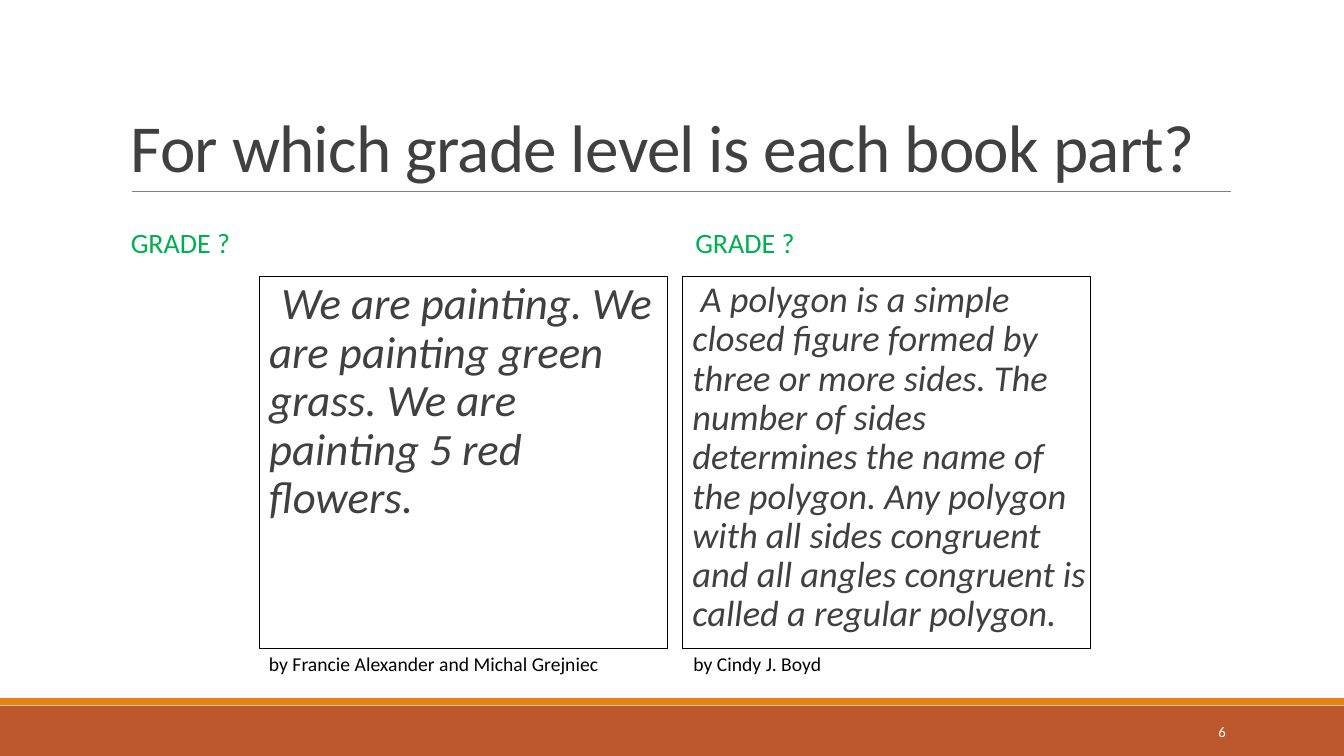
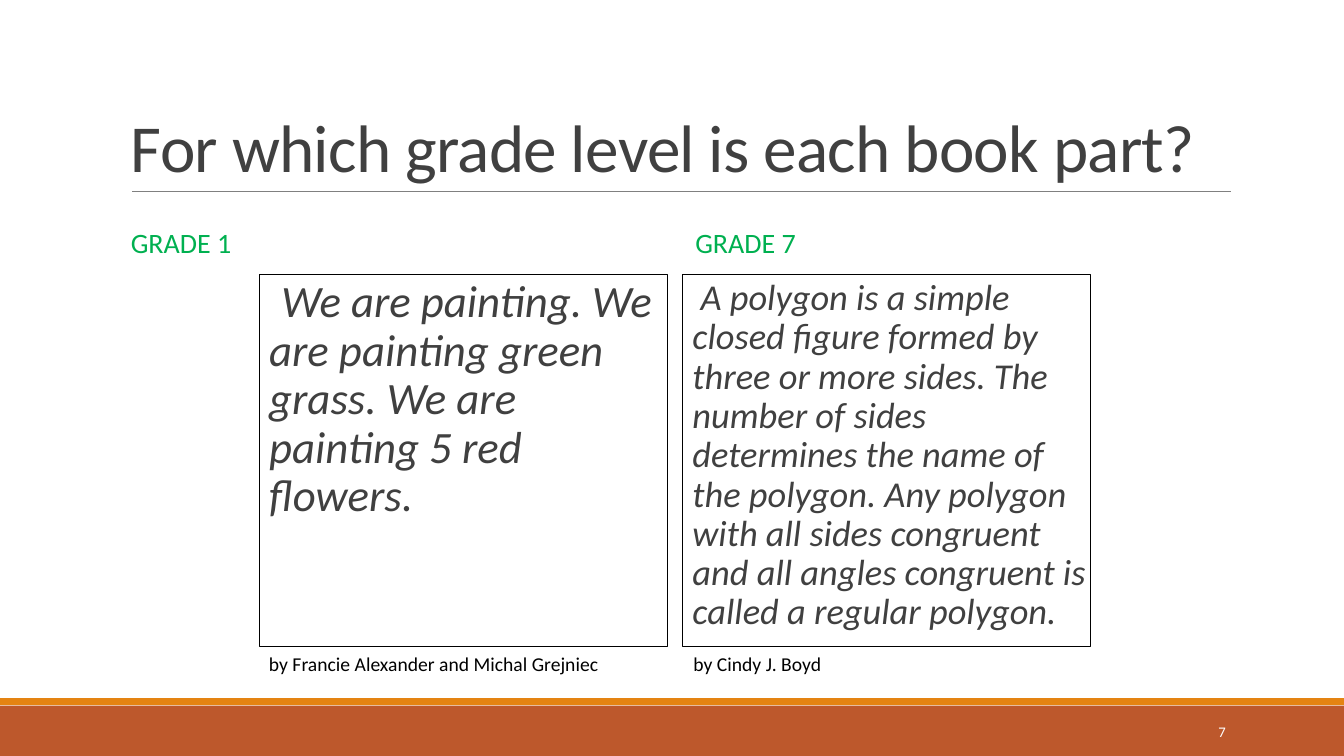
from lxml import etree
from pptx import Presentation
from pptx.dml.color import RGBColor
from pptx.enum.shapes import MSO_CONNECTOR, MSO_SHAPE
from pptx.enum.text import MSO_ANCHOR, PP_ALIGN
from pptx.oxml.ns import qn
from pptx.util import Pt

RECTANGLE = MSO_SHAPE.RECTANGLE
STRAIGHT = MSO_CONNECTOR.STRAIGHT
TOP, MIDDLE, BOTTOM = MSO_ANCHOR.TOP, MSO_ANCHOR.MIDDLE, MSO_ANCHOR.BOTTOM
LEFT, RIGHT = PP_ALIGN.LEFT, PP_ALIGN.RIGHT

FONT = "Calibri"
COLORS = {
    "band": "BD582C",
    "accent": "E48312",
    "rule": "808080",
    "text": "404040",
    "grade": "00B050",
    "black": "000000",
    "white": "FFFFFF",
}
TITLE = "For which grade level is each book part?"
EXCERPTS = [
    {
        "text": "We are painting. We are painting green grass. We are painting 5 red flowers.",
        "size": 32,
        "author": "by Francie Alexander and Michal Grejniec",
        "heading_left": 86.4,
        "box_left": 185.04,
        "author_left": 185.04,
    },
    {
        "text": "A polygon is a simple closed figure formed by three or more sides. "
                "The number of sides determines the name of the polygon. Any polygon "
                "with all sides congruent and all angles congruent is called a regular polygon.",
        "size": 26,
        "author": "by Cindy J. Boyd",
        "heading_left": 489.6,
        "box_left": 487.44,
        "author_left": 488.16,
    },
]
SLIDES = [
    {"number": "6", "grades": ["GRADE ?", "GRADE ?"], "box_top": 197.28},
    {"number": "7", "grades": ["GRADE 1", "GRADE 7"], "box_top": 195.84},
]


def color(name):
    return RGBColor.from_string(COLORS[name])


class Deck:
    """Holds the shared style and the slide being built."""

    def __init__(self):
        self.presentation = Presentation()
        self.presentation.slide_width = Pt(960)
        self.presentation.slide_height = Pt(540)
        self.slide = None

    def start_slide(self, title, number):
        self.slide = self.presentation.slides.add_slide(self.presentation.slide_layouts[6])
        self.band(504, 36, "band")
        self.band(498.76, 5.04, "accent")
        self.rule(94.32, 879.12, 136.8)
        self.title(title)
        self.text(779.76, 508.32, 102.96, 28.8, number, 10.5, "white", MIDDLE, RIGHT)

    def band(self, top, height, fill):
        shape = self.slide.shapes.add_shape(
            RECTANGLE, Pt(0), Pt(top), self.presentation.slide_width, Pt(height))
        shape.shadow.inherit = False
        shape.fill.solid()
        shape.fill.fore_color.rgb = color(fill)
        shape.line.fill.background()

    def rule(self, left, right, top):
        connector = self.slide.shapes.add_connector(
            STRAIGHT, Pt(left), Pt(top), Pt(right), Pt(top))
        connector.line.color.rgb = color("rule")
        connector.line.width = Pt(0.5)
        etree.SubElement(connector.element.spPr, qn("a:effectLst"))

    def title(self, text):
        run = self.text(86.4, 22.32, 792, 114.48, text, 48, "text", BOTTOM, spacing=0.85)
        run.font._element.set("spc", "-50")

    def heading(self, left, text):
        self.text(left, 145.44, 388.8, 58.32, text, 20, "grade", MIDDLE, spacing=0.9)

    def excerpt(self, left, top, text, size):
        shape = self.slide.shapes.add_shape(
            RECTANGLE, Pt(left), Pt(top), Pt(291.6), Pt(265.68))
        shape.shadow.inherit = False
        shape.fill.background()
        shape.line.color.rgb = color("black")
        shape.line.width = Pt(0.75)
        shape.text_frame.margin_left = shape.text_frame.margin_right = Pt(0)
        run = self.add_text(shape, text, size, "text", spacing=0.9)
        run.font.italic = True
        self.bullet(shape.text_frame.paragraphs[0])

    def bullet(self, paragraph):
        properties = paragraph._p.get_or_add_pPr()
        properties.set("marL", str(Pt(7.2)))
        properties.set("indent", str(Pt(-7.2)))
        bullet_color = etree.SubElement(properties, qn("a:buClr"))
        etree.SubElement(bullet_color, qn("a:srgbClr"), val=COLORS["accent"])
        etree.SubElement(properties, qn("a:buChar"), char=" ")

    def author(self, left, text):
        self.text(left, 462.24, 288.72, 24.48, text, 14, "black")

    def text(self, left, top, width, height, text, size, ink,
             anchor=TOP, align=LEFT, spacing=1.0):
        shape = self.slide.shapes.add_textbox(Pt(left), Pt(top), Pt(width), Pt(height))
        return self.add_text(shape, text, size, ink, anchor, align, spacing)

    def add_text(self, shape, text, size, ink, anchor=TOP, align=LEFT, spacing=1.0):
        frame = shape.text_frame
        frame.word_wrap = True
        frame.vertical_anchor = anchor
        paragraph = frame.paragraphs[0]
        paragraph.alignment = align
        paragraph.line_spacing = spacing
        run = paragraph.add_run()
        run.text = text
        run.font.name = FONT
        run.font.size = Pt(size)
        run.font.color.rgb = color(ink)
        return run


def main():
    deck = Deck()
    for content in SLIDES:
        deck.start_slide(TITLE, content["number"])
        for grade, excerpt in zip(content["grades"], EXCERPTS):
            deck.heading(excerpt["heading_left"], grade)
            deck.excerpt(excerpt["box_left"], content["box_top"], excerpt["text"], excerpt["size"])
            deck.author(excerpt["author_left"], excerpt["author"])
    deck.presentation.save("out.pptx")


if __name__ == "__main__":
    main()
